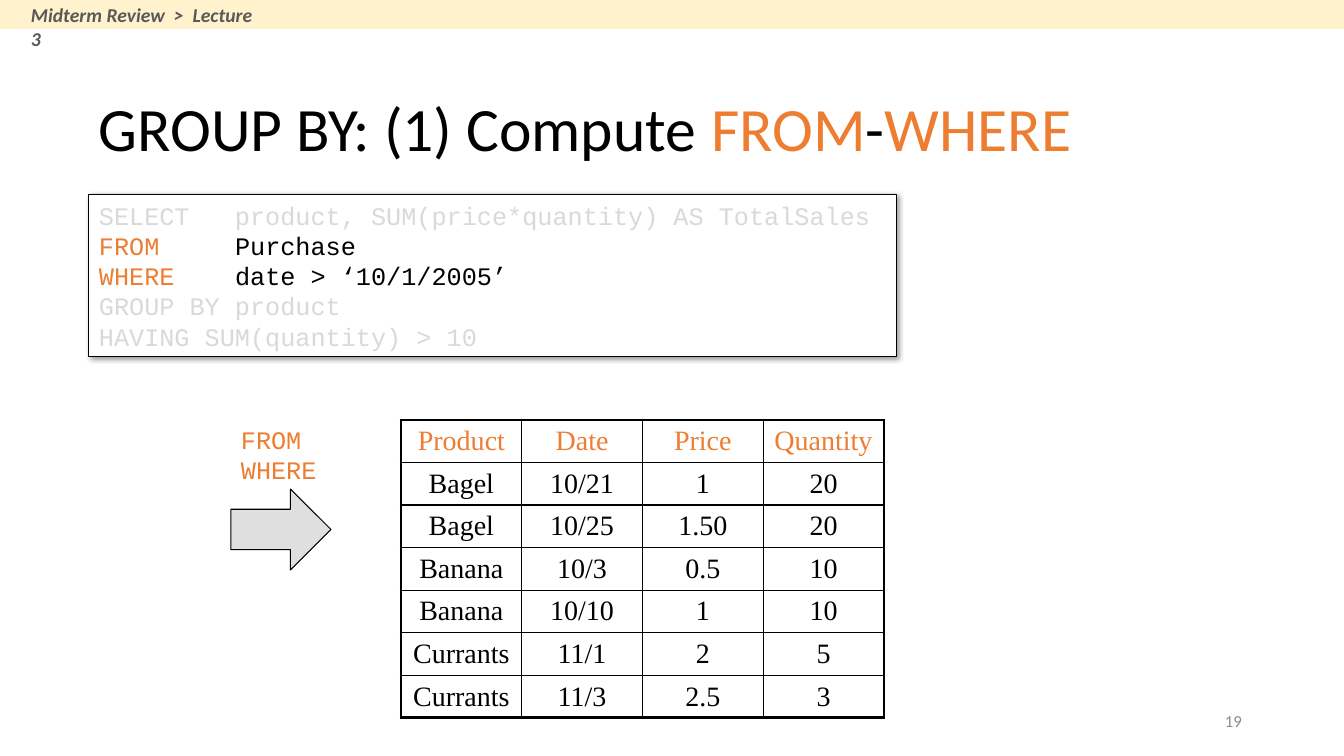
from lxml import etree
from pptx import Presentation
from pptx import util as u
from pptx.dml.color import RGBColor
from pptx.enum import shapes, text
from pptx.oxml import ns, parse_xml

PX = 914400 / 100.8
COLORS = {
    "black": "000000", "white": "FFFFFF", "keyword": "ED7D31", "faded": "D9D9D9",
    "banner": "FFF2CC", "crumb": "595959", "number": "8C8C8C", "arrow": "C0C0C0",
}
NS = ns.nsdecls("a")


def px(*lengths):
    return [u.Emu(round(length * PX)) for length in lengths]


def write(frame, lines, font, size, align=text.PP_ALIGN.LEFT):
    """Fill a frame with lines, each a list of (words, colour name)."""
    for number, line in enumerate(lines):
        paragraph = frame.paragraphs[0] if number == 0 else frame.add_paragraph()
        paragraph.alignment = align
        for words, color in line:
            run = paragraph.add_run()
            run.text = words
            run.font.name = font
            run.font.size = u.Pt(size)
            run.font.color.rgb = RGBColor.from_string(COLORS[color])


deck = Presentation()
deck.slide_width, deck.slide_height = px(1344, 756)
slide = deck.slides.add_slide(deck.slide_layouts[6])

# Page number and title
page = slide.shapes.add_textbox(*px(950, 701, 302, 40)).text_frame
page.vertical_anchor = text.MSO_ANCHOR.MIDDLE
write(page, [[("19", "number")]], "Calibri", 12, text.PP_ALIGN.RIGHT)

title = slide.shapes.add_textbox(*px(89, 69, 1108, 126)).text_frame
title.word_wrap = True
title.vertical_anchor = text.MSO_ANCHOR.MIDDLE
write(title, [[("GROUP BY: (1) Compute ", "black"), ("FROM", "keyword"),
               ("-", "black"), ("WHERE", "keyword")]], "Calibri", 44)
title.paragraphs[0].line_spacing = 0.9

# Purchase table
purchases = [
    ("Product", "Date", "Price", "Quantity"),
    ("Bagel", "10/21", "1", "20"),
    ("Bagel", "10/25", "1.50", "20"),
    ("Banana", "10/3", "0.5", "10"),
    ("Banana", "10/10", "1", "10"),
    ("Currants", "11/1", "2", "5"),
    ("Currants", "11/3", "2.5", "3"),
]
last_row, last_col = len(purchases) - 1, len(purchases[0]) - 1
table = slide.shapes.add_table(last_row + 1, last_col + 1, *px(401, 420, 483, 298)).table
table.first_row = table.horz_banding = False
for r, purchase in enumerate(purchases):
    for c, value in enumerate(purchase):
        cell = table.cell(r, c)
        cell.fill.background()
        cell.vertical_anchor = text.MSO_ANCHOR.MIDDLE
        cell.margin_top = cell.margin_bottom = px(3)[0]
        color = "keyword" if r == 0 else "black"
        write(cell.text_frame, [[(value, color)]], "Times New Roman", 20, text.PP_ALIGN.CENTER)
        outer_sides = {"L": c == 0, "R": c == last_col, "T": r == 0, "B": r == last_row}
        for place, (side, outer) in enumerate(outer_sides.items()):
            width = u.Pt(2.25 if outer else 1)
            cell._tc.get_or_add_tcPr().insert(place, parse_xml(
                f'<a:ln{side} {NS} w="{width}"><a:solidFill>'
                f'<a:srgbClr val="{COLORS["black"]}"/></a:solidFill></a:ln{side}>'))

# Filled shapes: arrow, query box and banner
filled = {}
for part, kind, box, fill, outlined in [
    ("arrow", shapes.MSO_SHAPE.RIGHT_ARROW, (231, 489, 100, 81), "arrow", True),
    ("query", shapes.MSO_SHAPE.RECTANGLE, (89, 195, 808, 162), "white", True),
    ("banner", shapes.MSO_SHAPE.RECTANGLE, (0, 0, 1344, 29), "banner", False),
]:
    shape = filled[part] = slide.shapes.add_shape(kind, *px(*box))
    shape.shadow.inherit = False
    shape.fill.solid()
    shape.fill.fore_color.rgb = RGBColor.from_string(COLORS[fill])
    if outlined:
        shape.line.color.rgb = RGBColor.from_string(COLORS["black"])
        shape.line.width = u.Pt(0.75)
    else:
        shape.line.fill.background()

arrow_color = filled["arrow"]._element.spPr.find(ns.qn("a:solidFill"))[0]
etree.SubElement(arrow_color, ns.qn("a:alpha"), val="50000")

query_effects = filled["query"]._element.spPr.find(ns.qn("a:effectLst"))
query_effects.append(parse_xml(
    f'<a:outerShdw {NS} blurRad="{u.Pt(4)}" dist="{u.Pt(1)}" dir="2700000" algn="tl" '
    f'rotWithShape="0"><a:srgbClr val="{COLORS["black"]}"><a:alpha val="40000"/>'
    '</a:srgbClr></a:outerShdw>'))
query = filled["query"].text_frame
query.vertical_anchor = text.MSO_ANCHOR.TOP
write(query, [
    [("SELECT   product, SUM(price*quantity) AS TotalSales", "faded")],
    [("FROM     ", "keyword"), ("Purchase", "black")],
    [("WHERE    ", "keyword"), ("date > ‘10/1/2005’", "black")],
    [("GROUP BY product", "faded")],
    [("HAVING SUM(quantity) > 10", "faded")],
], "Courier New", 18)

# Arrow label and breadcrumb
step = slide.shapes.add_textbox(*px(231, 419, 97, 72)).text_frame
step.word_wrap = False
write(step, [[("FROM", "keyword")], [("WHERE", "keyword")]], "Courier New", 18)

crumb = slide.shapes.add_textbox(*px(21, -2, 250, 34)).text_frame
crumb.word_wrap = True
write(crumb, [[("Midterm Review  >  Lecture 3", "crumb")]], "Calibri", 14)
crumb_font = crumb.paragraphs[0].runs[0].font
crumb_font.bold = crumb_font.italic = True

deck.save("out.pptx")
